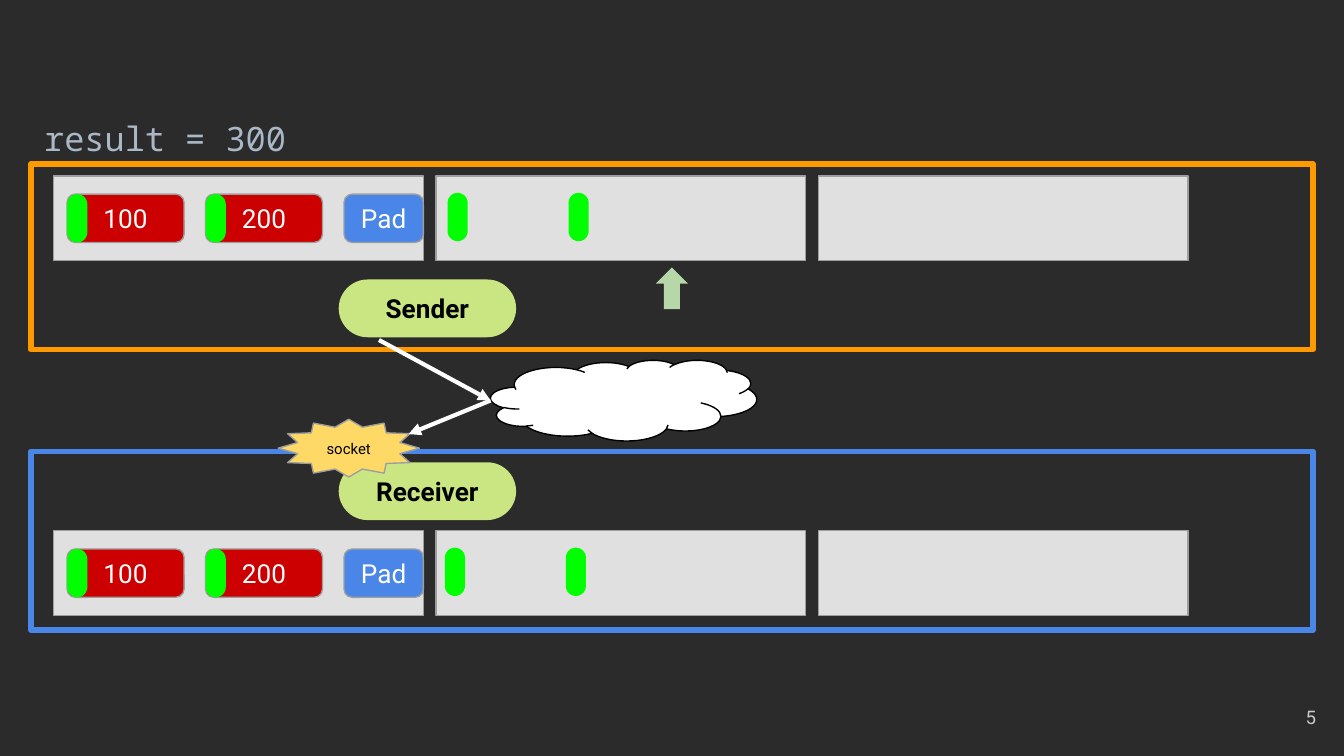
from pptx import Presentation
from pptx.dml.color import RGBColor
from pptx.enum.shapes import MSO_CONNECTOR, MSO_SHAPE
from pptx.enum.text import MSO_ANCHOR, PP_ALIGN
from pptx.oxml.ns import qn
from pptx.util import Inches, Pt
from lxml import etree

RECT, ROUND = MSO_SHAPE.RECTANGLE, MSO_SHAPE.ROUNDED_RECTANGLE
FRAME, CLOUD = MSO_SHAPE.FLOWCHART_PROCESS, MSO_SHAPE.CLOUD
STAR, UP = MSO_SHAPE.STAR_12_POINT, MSO_SHAPE.UP_ARROW
STRAIGHT = MSO_CONNECTOR.STRAIGHT
LEFT, CENTER, RIGHT = PP_ALIGN.LEFT, PP_ALIGN.CENTER, PP_ALIGN.RIGHT
TOP, MIDDLE = MSO_ANCHOR.TOP, MSO_ANCHOR.MIDDLE

DARK = RGBColor(0x2B, 0x2B, 0x2B)
WHITE = RGBColor(0xFF, 0xFF, 0xFF)
BLACK = RGBColor(0, 0, 0)
ORANGE = RGBColor(0xFF, 0x99, 0)
BLUE = RGBColor(0x4A, 0x86, 0xE8)
LIME = RGBColor(0xCA, 0xE6, 0x82)
GOLD = RGBColor(0xFF, 0xD9, 0x66)
SAGE = RGBColor(0xB6, 0xD7, 0xA8)
GREEN = RGBColor(0, 0xFF, 0)
RED = RGBColor(0xCC, 0, 0)
PALE = RGBColor(0xE0, 0xE0, 0xE0)
GRAY = RGBColor(0x9E, 0x9E, 0x9E)
SILVER = RGBColor(0xCA, 0xCA, 0xCA)
STEEL = RGBColor(0xA9, 0xB7, 0xC6)

FRAMES = [(1.22, 1.38, ORANGE), (3.36, 1.33, BLUE)]  # top, height, line
ARROWS = [((2.82, 2.53), (3.65, 2.98)), ((3.65, 2.98), (3.04, 3.23))]
# Each buffer: top of its pages, left of the first loose marker
BUFFERS = [(1.31, 3.33), (3.95, 3.31)]
CELLS = [("100", 0.87, RED), ("200", 0.87, RED), ("Pad", 0.59, BLUE)]
PAGES, PAGE_X, PAGE_W, PAGE_H = 3, 0.4, 2.75, 0.63
PAGE_STEP = (6.09 - PAGE_X) / (PAGES - 1)
CELL_X, CELL_STEP, CELL_H = 0.5, 1.03, 0.36
MARK_W, MARK_STEP = 0.15, 0.9


def write(shape, text, size, color, align=CENTER, anchor=MIDDLE,
          font="Roboto", bold=False, gap=None):
    frame = shape.text_frame
    frame.word_wrap = True
    frame.vertical_anchor = anchor
    frame.margin_left = frame.margin_right = Inches(0.1)
    frame.margin_top = frame.margin_bottom = Inches(0.1)
    para = frame.paragraphs[0]
    para.alignment = align
    if gap:
        para.line_spacing = gap
    run = para.add_run()
    run.text = text
    run.font.name, run.font.size = font, Pt(size)
    run.font.bold, run.font.color.rgb = bold, color


def draw(kind, box, fill=None, line=None, width=0.75, adj=()):
    shape = slide.shapes.add_shape(kind, *map(Inches, box))
    shape.shadow.inherit = False
    if fill is None:
        shape.fill.background()
    else:
        shape.fill.solid()
        shape.fill.fore_color.rgb = fill
    if line is None:
        shape.line.fill.background()
    else:
        shape.line.color.rgb = line
        shape.line.width = Pt(width)
    for i, value in enumerate(adj):
        shape.adjustments[i] = value
    return shape


def label(box, *args, **style):
    write(slide.shapes.add_textbox(*map(Inches, box)), *args, **style)


def arrow(start, end):
    link = slide.shapes.add_connector(STRAIGHT, *map(Inches, start + end))
    link.line.color.rgb = WHITE
    link.line.width = Pt(2.25)
    props = link._element.spPr
    etree.SubElement(props.find(qn("a:ln")), qn("a:tailEnd"), type="triangle")
    etree.SubElement(props, qn("a:effectLst"))


def role(name, top):
    pill = draw(ROUND, (2.52, top, 1.32, 0.43), LIME, adj=[0.5])
    write(pill, name, 14, BLACK, bold=True)


def mark(x, y):
    draw(ROUND, (x, y, MARK_W, CELL_H), GREEN, adj=[0.5])


def buffer(top, loose):
    """Draw a row of pages: the first filled, the second with two markers."""
    for i in range(PAGES):
        draw(RECT, (PAGE_X + i * PAGE_STEP, top, PAGE_W, PAGE_H), PALE, GRAY)
    y = top + (PAGE_H - CELL_H) / 2
    for i, (text, width, fill) in enumerate(CELLS):
        x = CELL_X + i * CELL_STEP
        cell = draw(ROUND, (x, y, width, CELL_H), fill, GRAY, adj=[0.17])
        write(cell, text, 14, WHITE)
        if fill == RED:
            mark(x, y)
    for i in range(2):
        mark(loose + i * MARK_STEP, y - 0.01)


deck = Presentation()
deck.slide_width = Inches(10)
deck.slide_height = deck.slide_width * 9 // 16
slide = deck.slides.add_slide(deck.slide_layouts[6])
slide.background.fill.solid()
slide.background.fill.fore_color.rgb = DARK

draw(CLOUD, (3.65, 2.68, 1.98, 0.6), WHITE, BLACK)
for top, height, color in FRAMES:
    draw(FRAME, (0.23, top, 9.54, height), line=color, width=3)
label((9.29, 5.12, 0.6, 0.43), "5", 10, SILVER, align=RIGHT)
label((0.23, 0.73, 6.18, 0.43), "result = 300", 18, STEEL, align=LEFT,
      anchor=TOP, font="Noto Sans Mono", gap=1.15)
role("Receiver", 3.44)
socket = draw(STAR, (2.07, 3.12, 1.05, 0.43), GOLD, GRAY, adj=[0.375])
write(socket, "socket", 8, BLACK)
for start, end in ARROWS:
    arrow(start, end)
draw(UP, (4.88, 1.99, 0.24, 0.31), SAGE, adj=[0.5, 0.5])
role("Sender", 2.08)
for top, loose in BUFFERS:
    buffer(top, loose)

deck.save("out.pptx")
